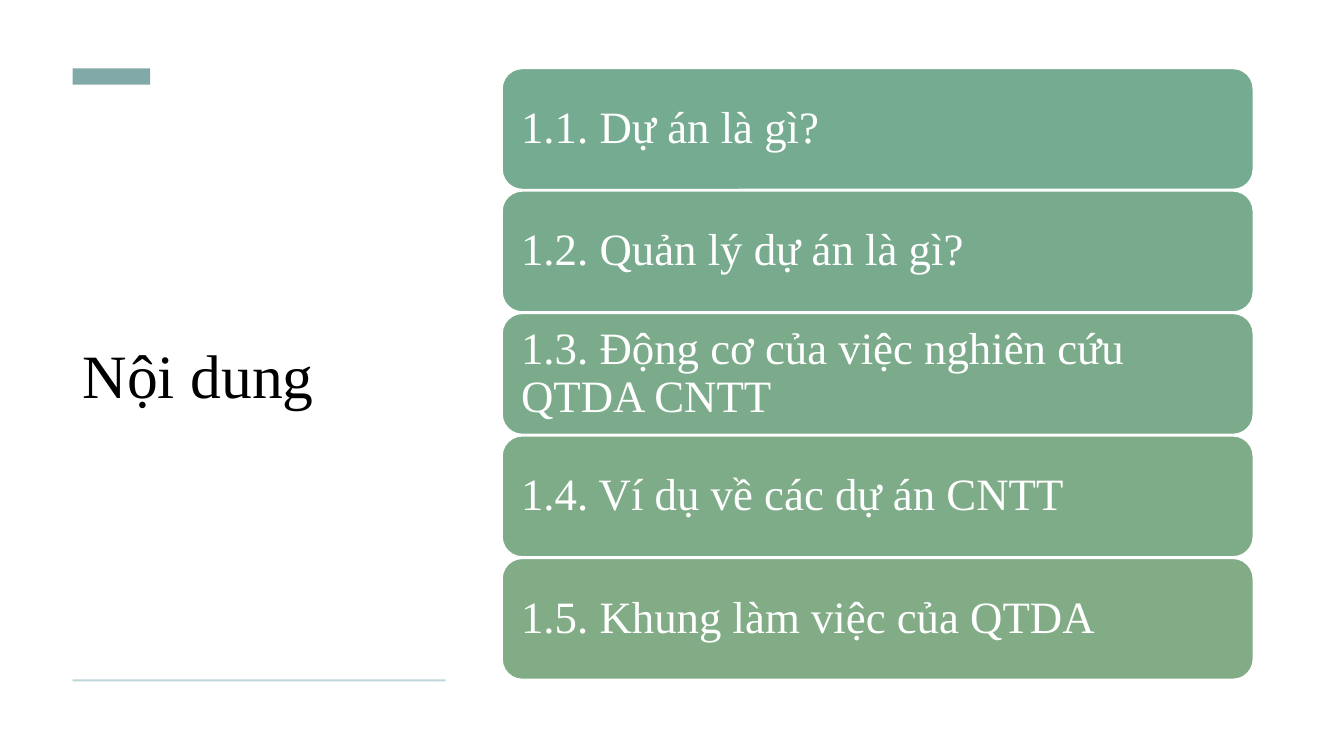
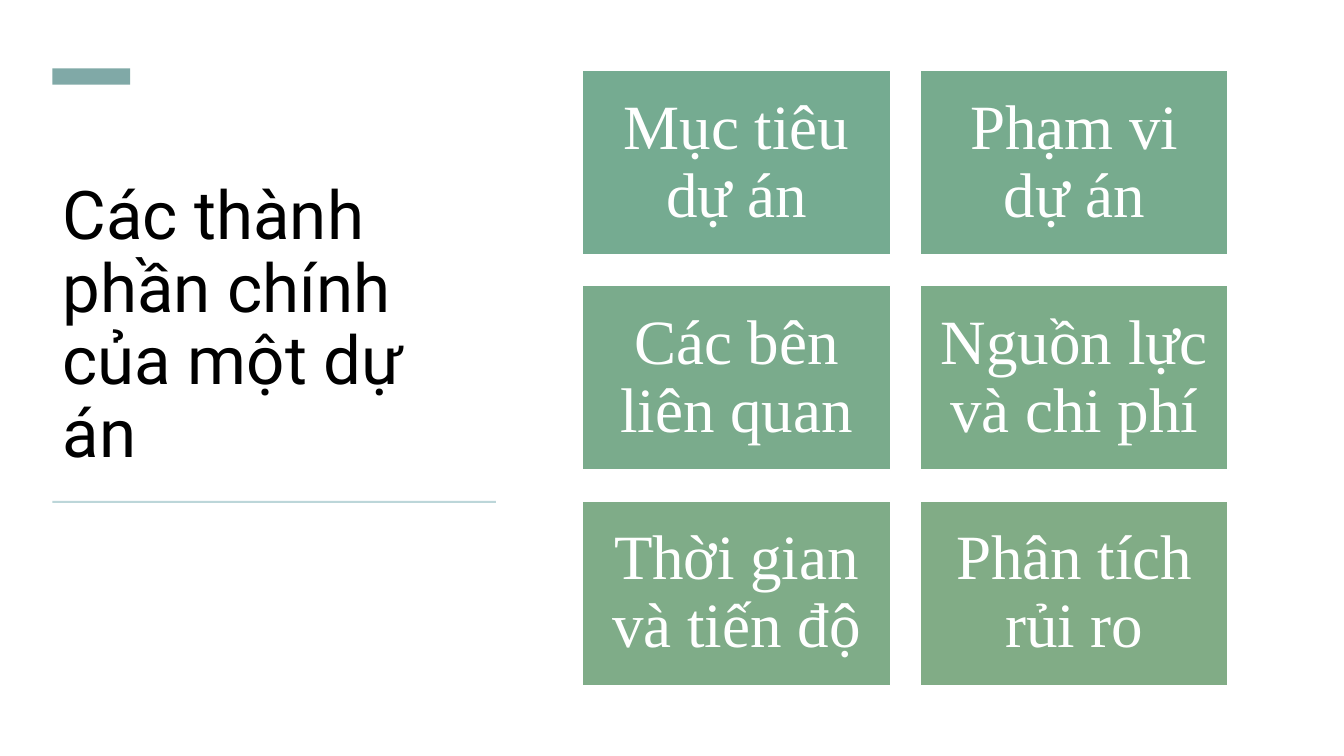
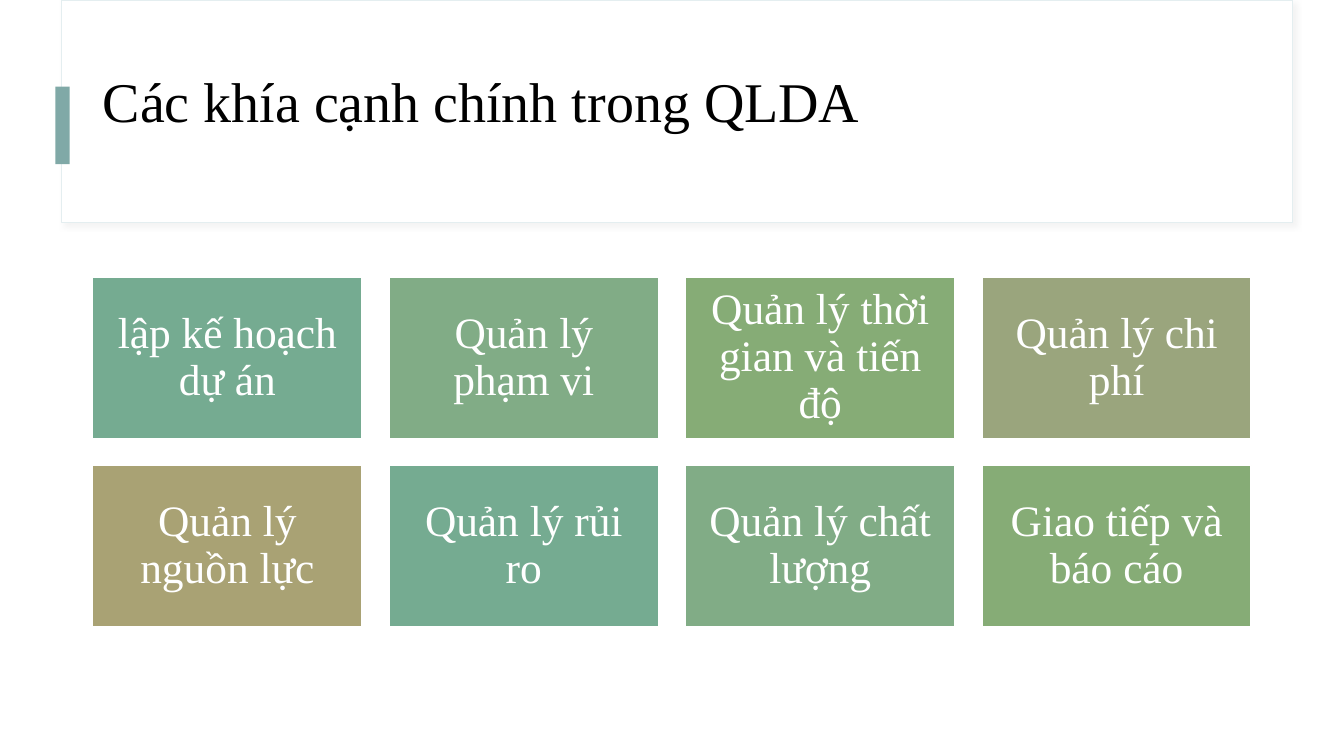
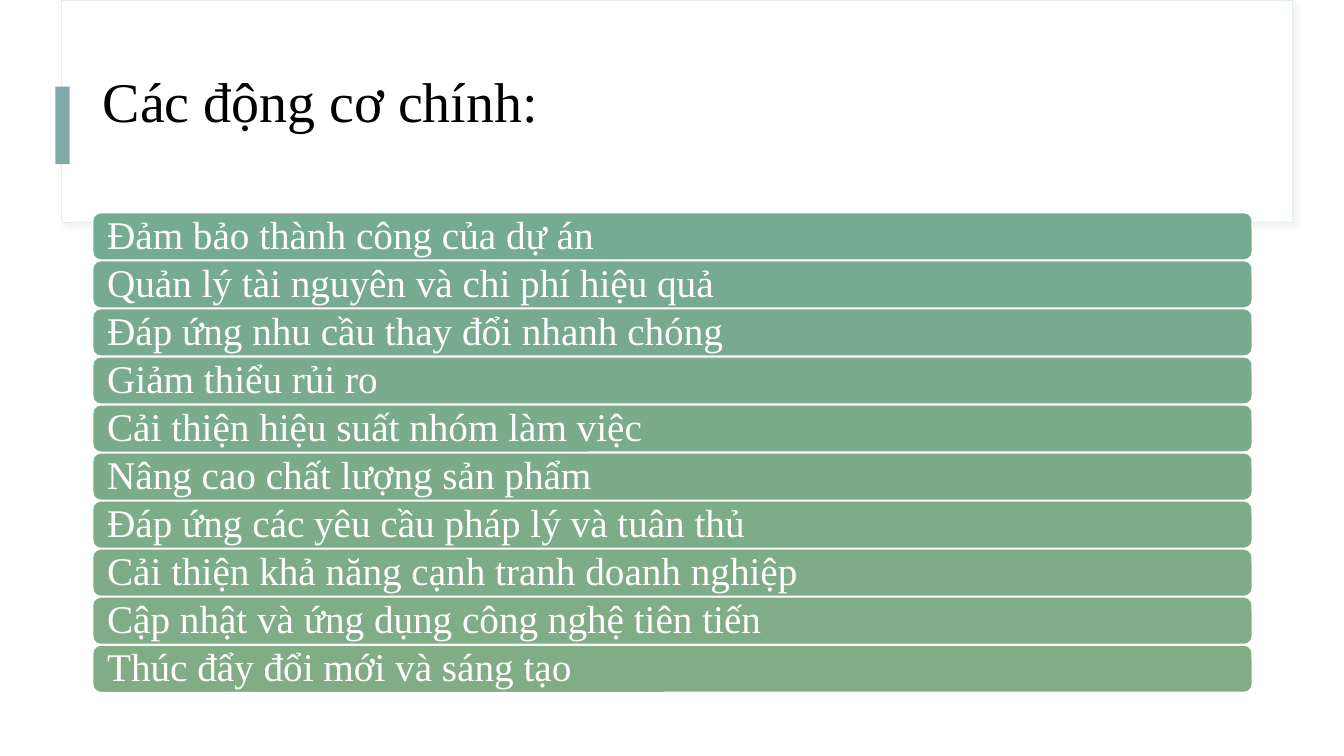
import colorsys
from dataclasses import dataclass

import pptx
import pptx.dml.color
import pptx.enum.shapes
import pptx.enum.text
import pptx.oxml
import pptx.oxml.ns
import pptx.util
from pptx.util import Inches

Shape = pptx.enum.shapes.MSO_SHAPE
Anchor = pptx.enum.text.MSO_ANCHOR
Align = pptx.enum.text.PP_ALIGN


@dataclass(frozen=True)
class Theme:
    serif: str = "Times New Roman"
    sans: str = "Roboto"
    title_ink: str = "000000"
    white: str = "FFFFFF"
    accent: str = "80A9A7"
    rule: str = "BCD6D9"
    panel_edge: str = "E4EEF0"
    panel_shadow: str = "D9D9D9"
    teal: str = "75AB91"
    sage: str = "81AC86"
    palette: tuple[str, ...] = ("75AB91", "81AC86", "86AC76", "9AA57D", "A9A274")
    header_size: int = 40
    contents_title_size: int = 44
    side_title_size: int = 48
    contents_size: int = 32
    component_size: int = 45
    aspect_size: int = 31
    motive_size: int = 28
    line_spacing: float = 0.9


THEME = Theme()


@dataclass(frozen=True)
class Box:
    """A rectangle in inches."""
    left: float
    top: float
    width: float
    height: float

    def emu(self) -> tuple[int, int, int, int]:
        return (Inches(self.left), Inches(self.top),
                Inches(self.width), Inches(self.height))


@dataclass(frozen=True)
class Title:
    text: str
    box: Box
    size: int
    anchor: Anchor = Anchor.BOTTOM
    font: str = THEME.serif


@dataclass(frozen=True)
class TileGrid:
    """Equal tiles spread over an area; the gaps take what the tiles leave."""
    area: Box
    columns: int
    tile_width: float
    tile_height: float
    size: int
    inset: float
    shape: Shape = Shape.RECTANGLE
    align: Align = Align.CENTER

    def cells(self, count: int) -> list[Box]:
        rows = -(-count // self.columns)
        step_x = (self.area.width - self.tile_width) / max(self.columns - 1, 1)
        step_y = (self.area.height - self.tile_height) / max(rows - 1, 1)
        return [Box(self.area.left + index % self.columns * step_x,
                    self.area.top + index // self.columns * step_y,
                    self.tile_width, self.tile_height)
                for index in range(count)]


def rgb(code: str) -> pptx.dml.color.RGBColor:
    return pptx.dml.color.RGBColor.from_string(code)


def blend(count: int) -> list[str]:
    """Steps from teal to sage, even in hue, lightness and saturation."""
    start, end = (colorsys.rgb_to_hls(*(part / 255 for part in rgb(code)))
                  for code in (THEME.teal, THEME.sage))
    colours = []
    for index in range(count):
        share = index / (count - 1)
        mixed = [a + (b - a) * share for a, b in zip(start, end)]
        parts = colorsys.hls_to_rgb(*mixed)
        colours.append("".join(f"{round(part * 255):02X}" for part in parts))
    return colours


def add_block(page, box: Box, fill: str, line: str = "", line_width: float = 1,
              shape: Shape = Shape.RECTANGLE):
    block = page.shapes.add_shape(shape, *box.emu())
    block.shadow.inherit = False
    block.fill.solid()
    block.fill.fore_color.rgb = rgb(fill)
    if line:
        block.line.color.rgb = rgb(line)
        block.line.width = pptx.util.Pt(line_width)
    else:
        block.line.fill.background()
    return block


def write(frame, text: str, size: int, colour: str, font: str,
          anchor: Anchor, align: Align) -> None:
    frame.text = text
    frame.word_wrap = True
    frame.auto_size = pptx.enum.text.MSO_AUTO_SIZE.NONE
    frame.vertical_anchor = anchor
    para = frame.paragraphs[0]
    para.alignment = align
    para.line_spacing = THEME.line_spacing
    para.font.name = font
    para.font.size = pptx.util.Pt(size)
    para.font.color.rgb = rgb(colour)


def add_page(deck, title: Title):
    page = deck.slides.add_slide(deck.slide_layouts.get_by_name("Title Only"))
    holder = page.shapes.title
    holder.left, holder.top, holder.width, holder.height = title.box.emu()
    write(holder.text_frame, title.text, title.size, THEME.title_ink,
          title.font, title.anchor, Align.LEFT)
    return page


def add_side_page(deck, title: Title, rule_top: float):
    """A page with its title on the left, between a short bar and a thin rule."""
    page = add_page(deck, title)
    left = title.box.left
    add_block(page, Box(left, 0.68, 0.77, 0.16), THEME.accent)
    add_block(page, Box(left, rule_top, title.box.width, 0.02), THEME.rule)
    return page


def add_soft_shadow(panel) -> None:
    effects = panel.element.spPr.find(pptx.oxml.ns.qn("a:effectLst"))
    effects.append(pptx.oxml.parse_xml(
        f'<a:outerShdw {pptx.oxml.ns.nsdecls("a")} blurRad="{pptx.util.Pt(4)}" '
        f'dist="{pptx.util.Pt(3)}" dir="2700000" algn="tl" rotWithShape="0">'
        f'<a:srgbClr val="{THEME.panel_shadow}"><a:alpha val="30000"/></a:srgbClr>'
        '</a:outerShdw>'))


def add_header_page(deck, text: str):
    """A page with its title in a panel that hangs from the top edge."""
    page = add_page(deck, Title(text, Box(0.92, 0.28, 11.49, 1.11), THEME.header_size))
    panel = add_block(page, Box(0.61, 0, 12.21, 2.21), THEME.white,
                      THEME.panel_edge, 0.75)
    add_soft_shadow(panel)
    page.shapes.title.element.addprevious(panel.element)
    add_block(page, Box(0.55, 0.86, 0.14, 0.77), THEME.accent)
    return page


def add_tiles(page, grid: TileGrid, labels: list[str], colours: list[str]) -> None:
    for label, colour, cell in zip(labels, colours, grid.cells(len(labels))):
        tile = add_block(page, cell, colour, THEME.white, shape=grid.shape)
        frame = tile.text_frame
        frame.margin_left = frame.margin_right = Inches(grid.inset)
        frame.margin_top = frame.margin_bottom = 0
        write(frame, label, grid.size, THEME.white, THEME.serif,
              Anchor.MIDDLE, grid.align)


def add_contents(deck) -> None:
    title = Title("Nội dung", Box(0.72, 1.05, 3.7, 5.41),
                  THEME.contents_title_size, Anchor.MIDDLE)
    labels = [
        "1.1. Dự án là gì?",
        "1.2. Quản lý dự án là gì?",
        "1.3. Động cơ của việc nghiên cứu QTDA CNTT",
        "1.4. Ví dụ về các dự án CNTT",
        "1.5. Khung làm việc của QTDA",
    ]
    grid = TileGrid(Box(4.98, 0.68, 7.45, 6.06), 1, 7.45, 1.2, THEME.contents_size,
                    0.13, Shape.ROUNDED_RECTANGLE, Align.LEFT)
    add_tiles(add_side_page(deck, title, 6.74), grid, labels, blend(len(labels)))


def add_components(deck) -> None:
    title = Title("Các thành phần chính của một dự án", Box(0.52, 1.23, 4.4, 3.5),
                  THEME.side_title_size, font=THEME.sans)
    labels = [
        "Mục tiêu dự án", "Phạm vi dự án",
        "Các bên liên quan", "Nguồn lực và chi phí",
        "Thời gian và tiến độ", "Phân tích rủi ro",
    ]
    grid = TileGrid(Box(5.78, 0.7, 6.4, 6.1), 2, 3.05, 1.83, THEME.component_size, 0.18)
    add_tiles(add_side_page(deck, title, 4.97), grid, labels, blend(len(labels)))


def add_aspects(deck) -> None:
    labels = [
        "lập kế hoạch dự án", "Quản lý phạm vi",
        "Quản lý thời gian và tiến độ", "Quản lý chi phí",
        "Quản lý nguồn lực", "Quản lý rủi ro",
        "Quản lý chất lượng", "Giao tiếp và báo cáo",
    ]
    colours = [THEME.palette[index % len(THEME.palette)] for index in range(len(labels))]
    grid = TileGrid(Box(0.92, 2.75, 11.49, 3.47), 4, 2.67, 1.6, THEME.aspect_size, 0.13)
    add_tiles(add_header_page(deck, "Các khía cạnh chính trong QLDA"),
              grid, labels, colours)


def add_motives(deck) -> None:
    labels = [
        "Đảm bảo thành công của dự án",
        "Quản lý tài nguyên và chi phí hiệu quả",
        "Đáp ứng nhu cầu thay đổi nhanh chóng",
        "Giảm thiểu rủi ro",
        "Cải thiện hiệu suất nhóm làm việc",
        "Nâng cao chất lượng sản phẩm",
        "Đáp ứng các yêu cầu pháp lý và tuân thủ",
        "Cải thiện khả năng cạnh tranh doanh nghiệp",
        "Cập nhật và ứng dụng công nghệ tiên tiến",
        "Thúc đẩy đổi mới và sáng tạo",
    ]
    grid = TileGrid(Box(0.92, 2.11, 11.5, 4.76), 1, 11.5, 0.47, THEME.motive_size,
                    0.12, Shape.ROUNDED_RECTANGLE, Align.LEFT)
    add_tiles(add_header_page(deck, "Các động cơ chính:"),
              grid, labels, blend(len(labels)))


def main() -> None:
    deck = pptx.Presentation()
    deck.slide_width, deck.slide_height = Inches(13.33), Inches(7.5)
    add_contents(deck)
    add_components(deck)
    add_aspects(deck)
    add_motives(deck)
    deck.save("out.pptx")


if __name__ == "__main__":
    main()
